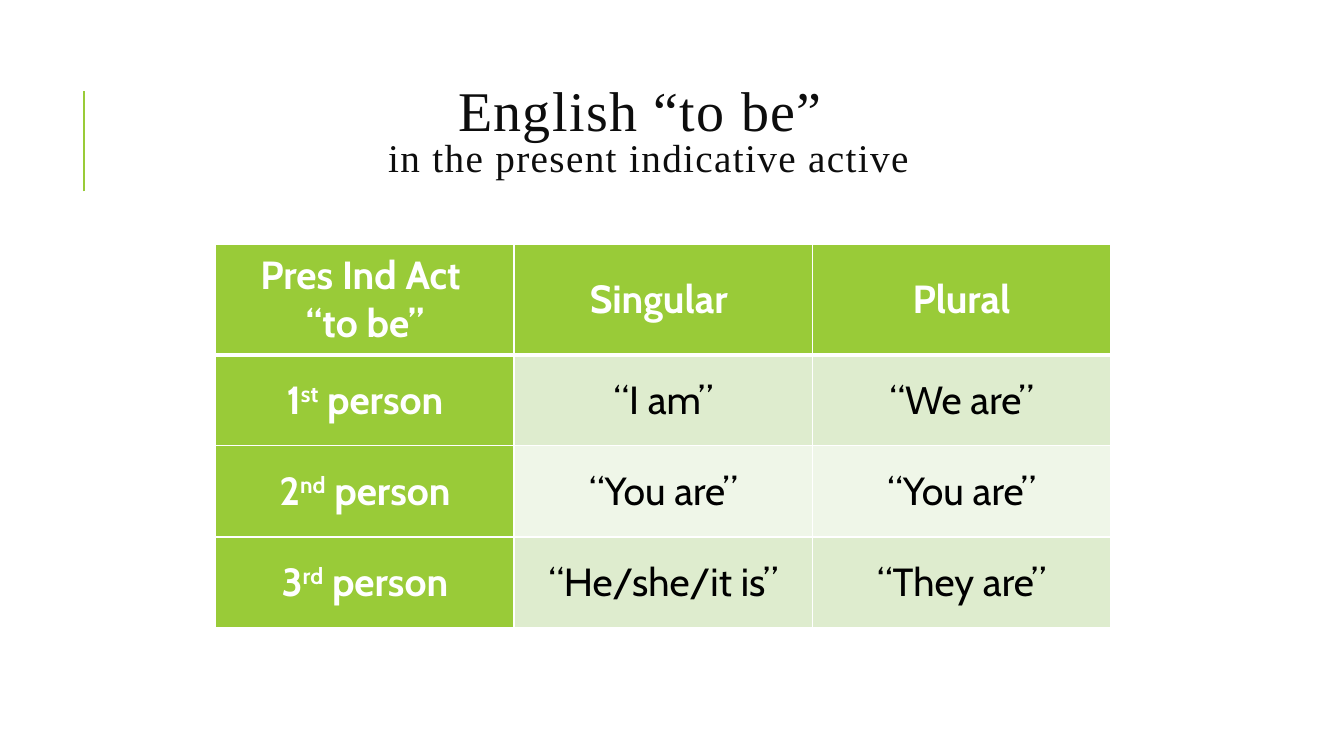
from dataclasses import dataclass

from lxml import etree
from pptx import Presentation
from pptx.dml.color import RGBColor
from pptx.enum.shapes import MSO_CONNECTOR
from pptx.enum.text import MSO_ANCHOR, MSO_AUTO_SIZE, PP_ALIGN
from pptx.oxml.ns import qn
from pptx.slide import Slide
from pptx.table import _Cell
from pptx.util import Emu, Inches, Pt

CENTER = PP_ALIGN.CENTER
MIDDLE = MSO_ANCHOR.MIDDLE
NO_AUTOFIT = MSO_AUTO_SIZE.NONE
STRAIGHT = MSO_CONNECTOR.STRAIGHT

GREEN = RGBColor(0x99, 0xCB, 0x38)
BAND_DARK = RGBColor(0xDE, 0xEC, 0xCE)
BAND_LIGHT = RGBColor(0xEF, 0xF6, 0xE8)
WHITE = RGBColor(0xFF, 0xFF, 0xFF)
BLACK = RGBColor(0x00, 0x00, 0x00)
TITLE_COLOR = RGBColor(0x0D, 0x0D, 0x0D)

TITLE_FONT = "Times New Roman"
TABLE_FONT = "Cabin"

SLIDE_WIDTH = Inches(13.33)
SLIDE_HEIGHT = Inches(7.5)

# Table measures, in percent of the slide
COLUMN_WIDTH = 22.2
HEADER_HEIGHT = 14.67
PERSON_HEIGHT = 12.05


@dataclass(frozen=True)
class Person:
    number: str
    ordinal: str
    singular: str
    plural: str


HEADERS = (("Pres Ind Act ", "“to be”"), ("Singular ",), ("Plural",))
PERSONS = (
    Person("1", "st", "“I am”", "“We are”"),
    Person("2", "nd", "“You are”", "“You are”"),
    Person("3", "rd", "“He/she/it is”", "“They are”"),
)


def across(percent: float) -> Emu:
    return Emu(round(SLIDE_WIDTH * percent / 100))


def down(percent: float) -> Emu:
    return Emu(round(SLIDE_HEIGHT * percent / 100))


def add_accent_line(slide: Slide) -> None:
    line = slide.shapes.add_connector(
        STRAIGHT, across(6.25), down(25.33), across(6.25), down(12)
    )
    line.line.color.rgb = GREEN
    line.line.width = Pt(1.5)
    etree.SubElement(line._element.spPr, qn("a:effectLst"))


def format_title(slide: Slide) -> None:
    title = slide.shapes.title
    title.left, title.top = across(8.4), down(8.53)
    title.width, title.height = across(79.74), down(18.53)
    frame = title.text_frame
    frame.word_wrap = True
    frame.auto_size = NO_AUTOFIT
    frame.vertical_anchor = MIDDLE
    paragraph = frame.paragraphs[0]
    paragraph.alignment = CENTER
    paragraph.line_spacing = 0.8
    paragraph.font.name = TITLE_FONT
    paragraph.font.size = Pt(40)
    paragraph.font.color.rgb = TITLE_COLOR
    heading = paragraph.add_run()
    heading.text = "English “to be” "
    paragraph.add_line_break()
    subheading = paragraph.add_run()
    subheading.text = "in the present indicative active"
    subheading.font.size = Pt(28)
    for run in paragraph.runs:
        run._r.get_or_add_rPr().set("spc", "100")


def set_borders(cell: _Cell, top: float, bottom: float) -> None:
    properties = cell._tc.get_or_add_tcPr()
    for side, width in (("L", 1), ("R", 1), ("T", top), ("B", bottom)):
        border = etree.SubElement(properties, qn(f"a:ln{side}"), w=str(Pt(width)))
        fill = etree.SubElement(border, qn("a:solidFill"))
        etree.SubElement(fill, qn("a:srgbClr"), val=str(WHITE))


def fill_cell(cell: _Cell, lines: tuple[str, ...], fill: RGBColor, label: bool,
              ordinal: str = "") -> None:
    """Write the lines; a run equal to the ordinal is raised, not broken off."""
    cell.fill.solid()
    cell.fill.fore_color.rgb = fill
    cell.vertical_anchor = MIDDLE
    cell.margin_left = cell.margin_right = Inches(0.07)
    cell.margin_top = cell.margin_bottom = 0
    paragraph = cell.text_frame.paragraphs[0]
    paragraph.alignment = CENTER
    paragraph.font.name = TABLE_FONT
    paragraph.font.size = Pt(28)
    for index, text in enumerate(lines):
        if index and not ordinal:
            paragraph.add_line_break()
        run = paragraph.add_run()
        run.text = text
        run.font.bold = label
        run.font.color.rgb = WHITE if label else BLACK
        if text == ordinal:
            run._r.get_or_add_rPr().set("baseline", "30000")


def add_verb_table(slide: Slide) -> None:
    row_count, column_count = len(PERSONS) + 1, len(HEADERS)
    table = slide.shapes.add_table(
        row_count, column_count, across(16.05), down(32.27),
        across(COLUMN_WIDTH * column_count),
        down(HEADER_HEIGHT + PERSON_HEIGHT * len(PERSONS)),
    ).table
    for column in table.columns:
        column.width = across(COLUMN_WIDTH)
    for index, row in enumerate(table.rows):
        row.height = down(PERSON_HEIGHT if index else HEADER_HEIGHT)
        for cell in row.cells:
            set_borders(cell, 3 if index == 1 else 1, 1 if index else 3)

    # Header row
    for column, lines in enumerate(HEADERS):
        fill_cell(table.cell(0, column), lines, GREEN, True)

    # One row for each person
    for row, person in enumerate(PERSONS, start=1):
        band = BAND_DARK if row % 2 else BAND_LIGHT
        label = (person.number, person.ordinal, " person")
        fill_cell(table.cell(row, 0), label, GREEN, True, person.ordinal)
        fill_cell(table.cell(row, 1), (person.singular,), band, False)
        fill_cell(table.cell(row, 2), (person.plural,), band, False)


def main() -> None:
    presentation = Presentation()
    presentation.slide_width = SLIDE_WIDTH
    presentation.slide_height = SLIDE_HEIGHT
    title_only = presentation.slide_layouts.get_by_name("Title Only")
    slide = presentation.slides.add_slide(title_only)
    add_accent_line(slide)
    format_title(slide)
    add_verb_table(slide)
    presentation.save("out.pptx")


if __name__ == "__main__":
    main()
